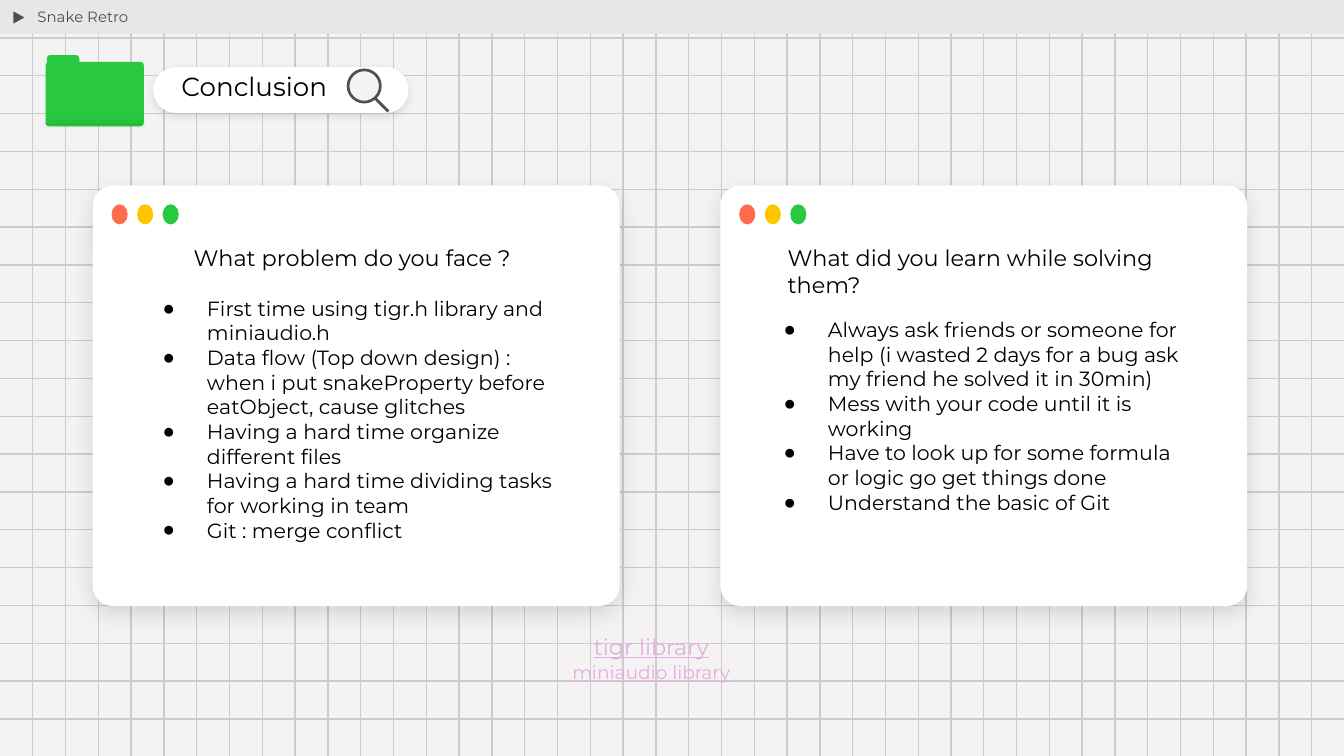
"""Build the conclusion slide with two window cards on a squared background."""
from lxml.etree import SubElement
from pptx import Presentation
from pptx.dml.color import RGBColor
from pptx.enum.shapes import MSO_CONNECTOR, MSO_SHAPE
from pptx.enum.text import MSO_ANCHOR, MSO_AUTO_SIZE, PP_ALIGN
from pptx.oxml.ns import qn
from pptx.util import Inches, Pt

RECTANGLE = MSO_SHAPE.RECTANGLE
ROUNDED = MSO_SHAPE.ROUNDED_RECTANGLE
TAB = MSO_SHAPE.ROUND_2_SAME_RECTANGLE
TRIANGLE = MSO_SHAPE.ISOSCELES_TRIANGLE
OVAL = MSO_SHAPE.OVAL
STRAIGHT = MSO_CONNECTOR.STRAIGHT
TOP = MSO_ANCHOR.TOP
LEFT = PP_ALIGN.LEFT
NO_AUTOFIT = MSO_AUTO_SIZE.NONE

COLORS = {
    "background": "F4F2F2", "grid": "CCCCCC", "bar": "E7E7E7", "gray": "4F4F4F",
    "white": "FFFFFF", "black": "000000", "red": "FF6B4D", "yellow": "FFC600",
    "green": "28C840", "pink": "E2AFDE",
}
FONT = "Montserrat"
SLIDE_WIDTH = 10
SLIDE_HEIGHT = SLIDE_WIDTH * 9 / 16
COLUMNS, LAST_COLUMN = 40, 9.76
ROWS, LAST_ROW = 19, 5.35

BAR_TEXT = "Snake Retro"
TITLE = "Conclusion"
CARDS = [
    {
        "left": 0.69,
        "heading": "What problem do you face ?", "heading_box": (1.34, 1.72, 2.82, 0.31),
        "points": [
            "First time using tigr.h library and miniaudio.h",
            "Data flow (Top down design) : when i put snakeProperty before eatObject, cause glitches",
            "Having a hard time organize different files",
            "Having a hard time dividing tasks for working in team",
            "Git : merge conflict",
        ],
        "points_box": (0.94, 2.1, 3.41, 2.1),
    },
    {
        "left": 5.36,
        "heading": "What did you learn while solving them?", "heading_box": (5.76, 1.72, 3.41, 0.31),
        "points": [
            "Always ask friends or someone for help (i wasted 2 days for a bug ask my friend he solved it in 30min)",
            "Mess with your code until it is working",
            "Have to look up for some formula or logic go get things done",
            "Understand the basic of Git",
        ],
        "points_box": (5.56, 2.26, 3.41, 2.1),
    },
]
LIBRARIES = [
    ("tigr library", 12, (4.32, 4.61, 1.37, 0.26)),
    ("miniaudio library", 10, (4.16, 4.82, 1.41, 0.49)),
]


def color(name):
    """Return the named colour."""
    return RGBColor.from_string(COLORS[name])


def add_effects(shape, shadow):
    """Replace inherited effects by an optional (opacity, blur, distance) shadow."""
    effects = SubElement(shape.element.spPr, qn("a:effectLst"))
    if shadow:
        opacity, blur, distance = shadow
        outer = SubElement(effects, qn("a:outerShdw"), blurRad=str(Pt(blur)),
                           dist=str(Pt(distance)), dir="5400000",
                           algn="bl", rotWithShape="0")
        tint = SubElement(outer, qn("a:srgbClr"), val=COLORS["black"])
        SubElement(tint, qn("a:alpha"), val=str(opacity * 1000))


def add_shape(slide, kind, box, fill, line=None, width=0.75, adjustments=(), shadow=None):
    """Add a filled preset shape."""
    shape = slide.shapes.add_shape(kind, *map(Inches, box))
    for index, value in enumerate(adjustments):
        shape.adjustments[index] = value
    shape.fill.solid()
    shape.fill.fore_color.rgb = color(fill)
    if line:
        shape.line.color.rgb = color(line)
        shape.line.width = Pt(width)
    else:
        shape.line.fill.background()
    add_effects(shape, shadow)
    return shape


def add_line(slide, start, end, line, width=0.75, shadow=None):
    """Add a straight line between two points."""
    connector = slide.shapes.add_connector(STRAIGHT, *map(Inches, (*start, *end)))
    connector.line.color.rgb = color(line)
    connector.line.width = Pt(width)
    add_effects(connector, shadow)


def add_bullet(paragraph):
    """Give a paragraph a hanging round bullet."""
    properties = paragraph._p.get_or_add_pPr()
    properties.set("marL", str(Inches(0.5)))
    properties.set("indent", str(Inches(-0.33)))
    tint = SubElement(properties, qn("a:buClr"))
    SubElement(tint, qn("a:srgbClr"), val=COLORS["black"])
    SubElement(properties, qn("a:buChar"), char="●")


def write_text(slide, texts, box, size, placeholder=None, fill="black",
               underline=False, bullets=False, spacing=1.0):
    """Write paragraphs into a placeholder, or a new text box, in front."""
    left, top, width, height = map(Inches, box)
    shape = placeholder or slide.shapes.add_textbox(left, top, width, height)
    shape.left, shape.top, shape.width, shape.height = left, top, width, height
    slide.shapes.element.append(shape.element)
    frame = shape.text_frame
    frame.word_wrap = True
    frame.auto_size = NO_AUTOFIT
    frame.vertical_anchor = TOP
    frame.margin_left = frame.margin_right = Inches(0.1)
    frame.margin_top = frame.margin_bottom = Inches(0.1)
    for index, text in enumerate(texts):
        paragraph = frame.add_paragraph() if index else frame.paragraphs[0]
        if bullets:
            add_bullet(paragraph)
        paragraph.alignment = LEFT
        paragraph.line_spacing = spacing
        paragraph.space_before = Pt(0)
        run = paragraph.add_run()
        run.text = text
        run.font.name = FONT
        run.font.size = Pt(size)
        run.font.bold = False
        run.font.underline = underline
        run.font.color.rgb = color(fill)


def add_background(slide):
    """Draw the squared paper and the top bar."""
    slide.background.fill.solid()
    slide.background.fill.fore_color.rgb = color("background")
    for row in range(1, ROWS + 1):
        y = row * LAST_ROW / ROWS
        add_line(slide, (0, y), (SLIDE_WIDTH, y), "grid")
    for column in range(1, COLUMNS + 1):
        x = column * LAST_COLUMN / COLUMNS
        add_line(slide, (x, 0), (x, SLIDE_HEIGHT), "grid")
    add_shape(slide, RECTANGLE, (0, 0, SLIDE_WIDTH, 0.25), "bar")
    arrow = add_shape(slide, TRIANGLE, (0.09, 0.08, 0.11, 0.1), "gray", line="bar")
    arrow.rotation = 90
    write_text(slide, [BAR_TEXT], (0.18, -0.04, 1.28, 0.34), 8, fill="gray")


def add_title(slide):
    """Draw the search bar with the title and the folder."""
    add_shape(slide, ROUNDED, (1.14, 0.5, 1.9, 0.34), "white",
              adjustments=[0.5], shadow=(10, 4.5, 1.5))
    add_shape(slide, OVAL, (2.59, 0.52, 0.24, 0.24), "background", line="gray", width=1.45)
    add_line(slide, (2.79, 0.73), (2.89, 0.83), "gray", width=1.45)
    write_text(slide, [TITLE], (1.25, 0.45, 1.41, 0.41), 14,
               placeholder=slide.shapes.title, spacing=0.9)
    add_shape(slide, TAB, (0.35, 0.41, 0.24, 0.05), "green", adjustments=[0.5, 0])
    add_shape(slide, ROUNDED, (0.34, 0.46, 0.73, 0.48), "green", adjustments=[0.053])
    add_line(slide, (0.34, 0.91), (1.07, 0.91), "green", shadow=(30, 2.4, 0.8))


def add_card(slide, card, heading, body):
    """Draw one window card with its heading and list."""
    add_shape(slide, ROUNDED, (card["left"], 1.38, 3.92, 3.13), "white",
              adjustments=[0.048], shadow=(12, 11.9, 4))
    for index, fill in enumerate(("red", "yellow", "green")):
        add_shape(slide, OVAL, (card["left"] + 0.14 + index * 0.19, 1.52, 0.12, 0.15), fill)
    write_text(slide, [card["heading"]], card["heading_box"], 12, placeholder=heading)
    write_text(slide, card["points"], card["points_box"], 11, placeholder=body, bullets=True)


def main():
    """Build and save the presentation."""
    presentation = Presentation()
    presentation.slide_width = Inches(SLIDE_WIDTH)
    presentation.slide_height = Inches(SLIDE_HEIGHT)
    slide = presentation.slides.add_slide(presentation.slide_layouts.get_by_name("Comparison"))
    holders = {holder.placeholder_format.idx: holder for holder in slide.placeholders}
    add_background(slide)
    add_title(slide)
    for index, card in enumerate(CARDS):
        add_card(slide, card, holders[2 * index + 1], holders[2 * index + 2])
    for text, size, box in LIBRARIES:
        write_text(slide, [text], box, size, fill="pink", underline=True)
    presentation.save("out.pptx")


if __name__ == "__main__":
    main()
